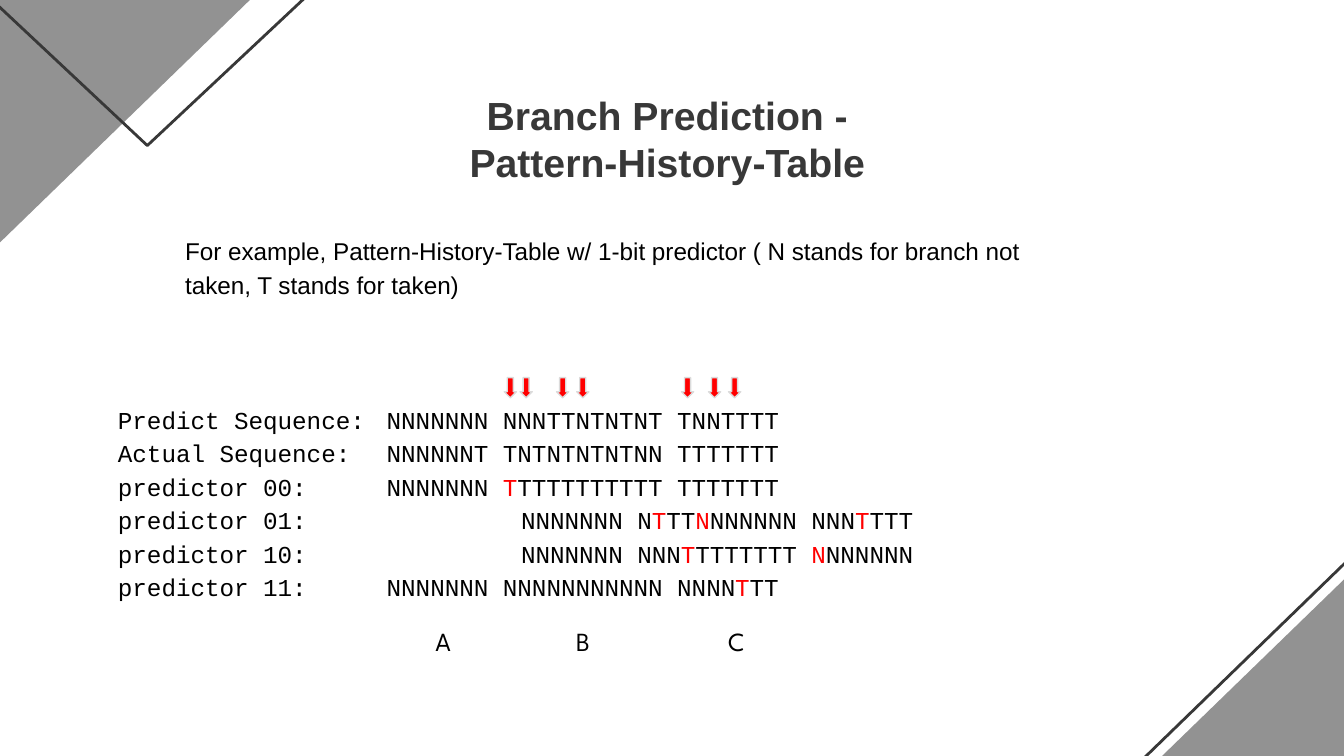
from lxml.etree import SubElement
from pptx import Presentation
from pptx.dml.color import RGBColor
from pptx.enum.shapes import MSO_SHAPE
from pptx.enum.text import MSO_ANCHOR, MSO_AUTO_SIZE, PP_ALIGN
from pptx.oxml.ns import qn
from pptx.util import Cm, Pt

DARK = RGBColor(0x38, 0x38, 0x38)
GREY = RGBColor(0x92, 0x92, 0x92)
PALE = RGBColor(0xDB, 0xDB, 0xDB)
RED = RGBColor(0xFF, 0x00, 0x00)
BLACK = RGBColor(0x00, 0x00, 0x00)

INSET = Cm(0.25)
LINE_SPACING = 1.15
TAB_STOPS = (Cm(5.08), Cm(7.62))

CORNERS = (
    (MSO_SHAPE.RIGHT_TRIANGLE, (19.51, 7.21, 9.45, 9.17), 0, None, DARK),
    (MSO_SHAPE.RIGHT_TRIANGLE, (19.81, 7.21, 9.45, 9.17), 0, GREY, None),
    (MSO_SHAPE.RIGHT_TRIANGLE, (-2.11, -2.54, 9.45, 9.17), 180, GREY, None),
    (MSO_SHAPE.ISOSCELES_TRIANGLE, (-4.67, -4.24, 14.91, 6.99), 180, None, DARK),
)
TITLE_LINES = ("Branch Prediction - ", "Pattern-History-Table ")
NOTE = (
    "For example, Pattern-History-Table w/ 1-bit predictor "
    "( N stands for branch not taken, T stands for taken)"
)
SEQUENCES = (
    "Predict Sequence:\tNNNNNNN NNNTTNTNTNT TNNTTTT",
    "Actual Sequence:\tNNNNNNT TNTNTNTNTNN TTTTTTT",
    "predictor 00: \tNNNNNNN |T|TTTTTTTTTT TTTTTTT",
    "predictor 01:\t\tNNNNNNN N|T|TT|N|NNNNNN NNN|T|TTT",
    "predictor 10:\t\tNNNNNNN NNN|T|TTTTTTT |N|NNNNNN",
    "predictor 11: \tNNNNNNN NNNNNNNNNNN NNNN|T|TT",
)
MISS_LEFTS = (9.53, 9.83, 10.52, 10.9, 12.88, 13.39, 13.77)
PHASES = (("A", 7.98), ("B", 10.64), ("C", 13.51))


def format_span(span, font, size, color, bold=False):
    """Set the look of one run."""
    span.font.name = font
    span.font.size = Pt(size)
    span.font.color.rgb = color
    span.font.bold = bold


def set_frame(frame, auto_size):
    """Give a text frame the common insets, wrapping and top anchor."""
    frame.word_wrap = True
    frame.auto_size = auto_size
    frame.vertical_anchor = MSO_ANCHOR.TOP
    frame.margin_left = frame.margin_right = INSET
    frame.margin_top = frame.margin_bottom = INSET


def add_shape(page, kind, place, fill, line, width):
    """Add a preset shape with an optional fill and outline."""
    shape = page.shapes.add_shape(kind, *map(Cm, place))
    shape.shadow.inherit = False
    if fill is None:
        shape.fill.background()
    else:
        shape.fill.solid()
        shape.fill.fore_color.rgb = fill
    if line is None:
        shape.line.fill.background()
    else:
        shape.line.color.rgb = line
        shape.line.width = Pt(width)
    return shape


def add_corner(page, kind, place, rotation, fill, line):
    """Add a mirrored triangle that decorates a corner."""
    shape = add_shape(page, kind, place, fill, line, 1.5)
    shape.rotation = rotation
    shape._element.spPr.xfrm.set("flipH", "1")


def set_title(page):
    """Place and format the title placeholder."""
    title = page.shapes.title
    title.left, title.top, title.width, title.height = map(Cm, (2.49, 1.47, 20.45, 1.47))
    set_frame(title.text_frame, MSO_AUTO_SIZE.NONE)
    title.text_frame.text = "\n".join(TITLE_LINES)
    for para in title.text_frame.paragraphs:
        para.alignment = PP_ALIGN.CENTER
        format_span(para.runs[0], "Arial", 21, DARK, True)


def add_label(page, text, place, font, size, spacing=None):
    """Add a text box with one paragraph that grows with its text."""
    box = page.shapes.add_textbox(*map(Cm, place))
    set_frame(box.text_frame, MSO_AUTO_SIZE.SHAPE_TO_FIT_TEXT)
    box.text_frame.text = text
    para = box.text_frame.paragraphs[0]
    para.line_spacing = spacing
    format_span(para.runs[0], font, size, BLACK)


def add_tab_stops(para):
    """Add left tab stops to a paragraph."""
    tabs = SubElement(para._p.get_or_add_pPr(), qn("a:tabLst"))
    for stop in TAB_STOPS:
        SubElement(tabs, qn("a:tab"), pos=str(stop), algn="l")


def add_sequences(page):
    """Add the sequence lines, with every second part between bars in red."""
    box = page.shapes.add_textbox(*map(Cm, (1.98, 6.68, 20.95, 4.9)))
    frame = box.text_frame
    set_frame(frame, MSO_AUTO_SIZE.NONE)
    frame.margin_top = Cm(0.89)
    for row, sequence in enumerate(SEQUENCES):
        para = frame.add_paragraph() if row else frame.paragraphs[0]
        para.line_spacing = LINE_SPACING
        add_tab_stops(para)
        for index, part in enumerate(sequence.split("|")):
            span = para.add_run()
            span.text = part
            format_span(span, "Courier New", 13, RED if index % 2 else BLACK)


def main():
    """Build the slide and save the deck."""
    deck = Presentation()
    deck.slide_width, deck.slide_height = Cm(25.4), Cm(14.29)
    page = deck.slides.add_slide(deck.slide_layouts[5])
    for corner in CORNERS:
        add_corner(page, *corner)
    set_title(page)
    add_sequences(page)
    for left in MISS_LEFTS:
        add_shape(page, MSO_SHAPE.DOWN_ARROW, (left, 7.14, 0.23, 0.38), RED, PALE, 0.75)
    add_label(page, NOTE, (3.25, 4.14, 17.12, 1.7), "Arial", 13, LINE_SPACING)
    for letter, left in PHASES:
        add_label(page, letter, (left, 11.58, 0.74, 1.12), "League Spartan", 14)
    deck.save("out.pptx")


if __name__ == "__main__":
    main()
